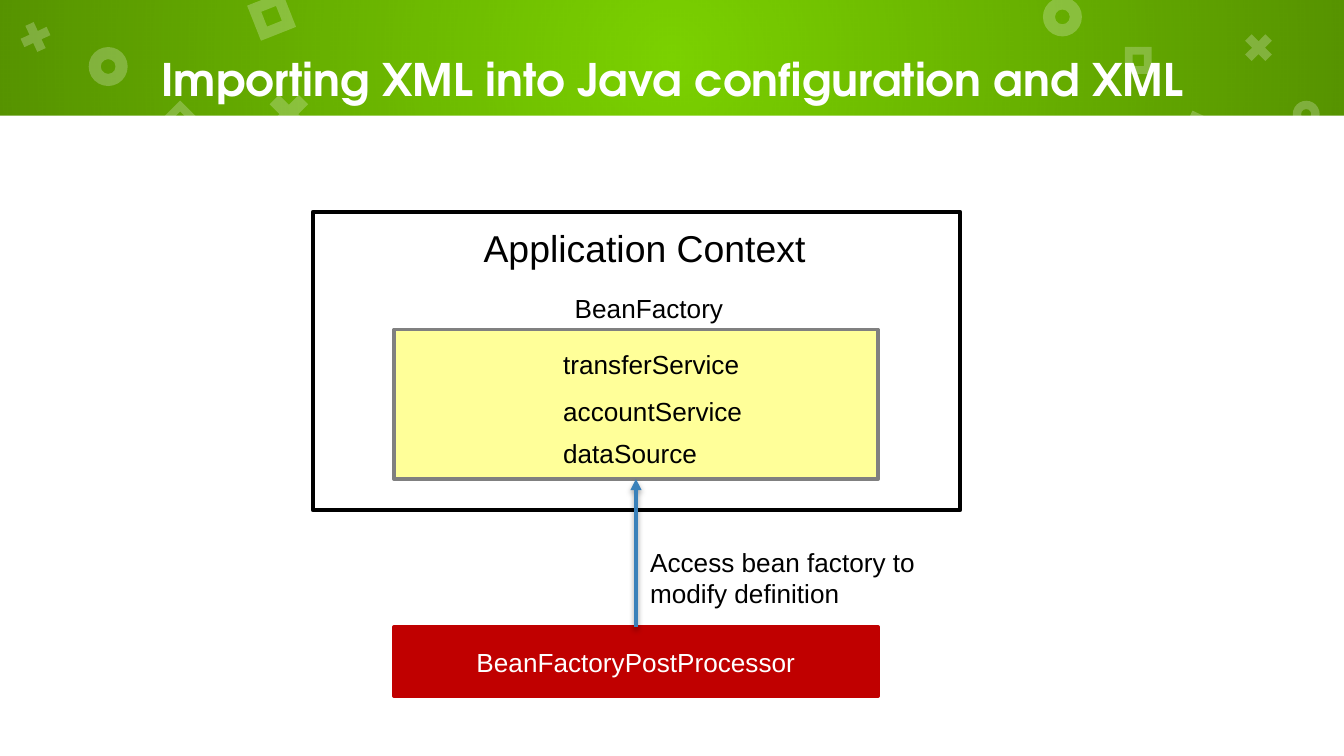
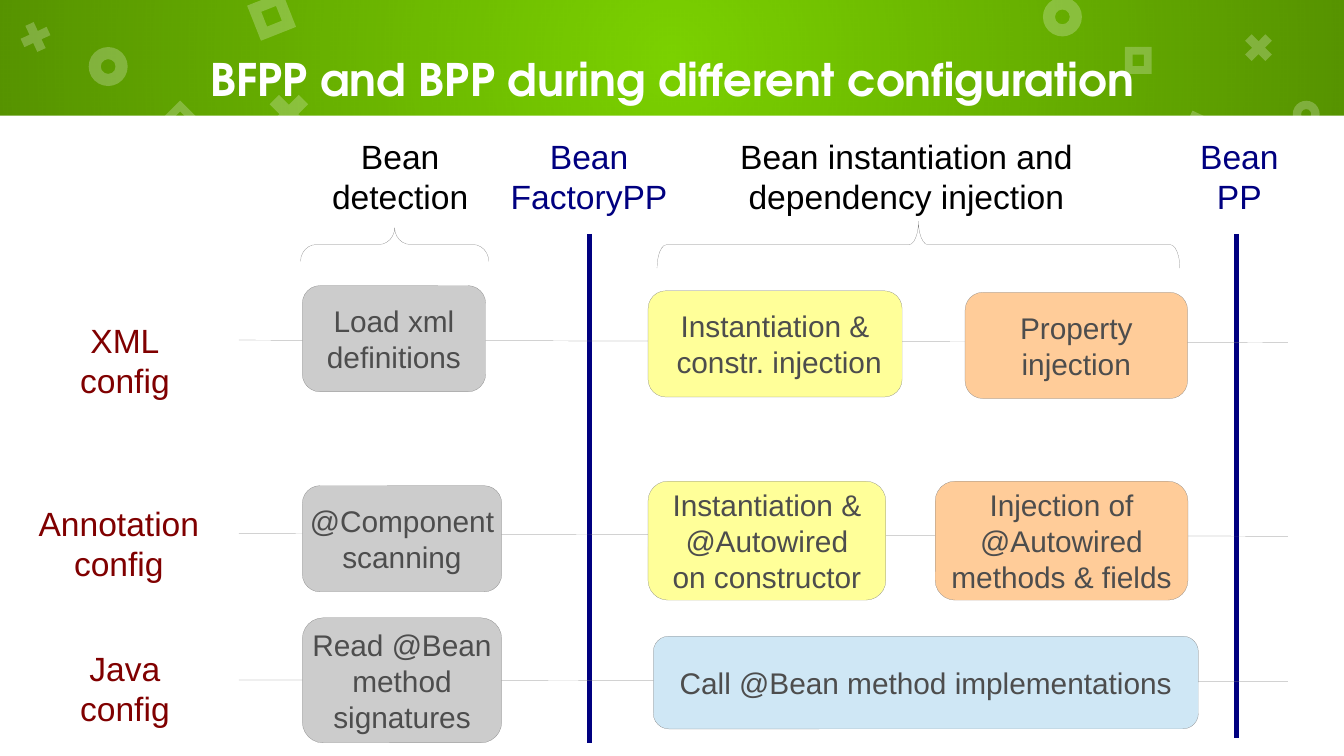
from dataclasses import dataclass
from typing import NamedTuple

import pptx
import pptx.dml.color
import pptx.enum.shapes
import pptx.enum.text
import pptx.oxml
import pptx.oxml.ns
import pptx.util

Pt = pptx.util.Pt
SHAPE = pptx.enum.shapes.MSO_SHAPE
ALIGN = pptx.enum.text.PP_ALIGN
ANCHOR = pptx.enum.text.MSO_ANCHOR
AUTO_SIZE = pptx.enum.text.MSO_AUTO_SIZE
NAMESPACE = pptx.oxml.ns.nsdecls("a")


@dataclass(frozen=True)
class Theme:
    green: str = "7BD100"
    white: str = "FFFFFF"
    black: str = "000000"
    gray: str = "808080"
    dark_gray: str = "4D4D4D"
    light_gray: str = "CCCCCC"
    yellow: str = "FFFF99"
    orange: str = "FFCC99"
    pale_blue: str = "CFE7F5"
    arrow_blue: str = "3A81BA"
    navy: str = "000080"
    maroon: str = "800000"
    red: str = "C00000"
    title_font: str = "TeX Gyre Adventor"
    body_font: str = "Arial"
    title_size: float = 24
    heading_size: float = 20
    label_size: float = 18
    step_size: float = 16
    body_size: float = 14
    hairline: float = 0.1
    outline: float = 2
    divider: float = 2.83


THEME = Theme()
SLIDE_WIDTH, SLIDE_HEIGHT = 720, 405
BAND_HEIGHT = 61.9


class Box(NamedTuple):
    left: float
    top: float
    width: float
    height: float

    def lengths(self) -> list:
        return [Pt(value) for value in self]


class Icon(NamedTuple):
    kind: SHAPE
    left: float
    top: float
    size: float
    rotation: float = 0


class Label(NamedTuple):
    text: str
    box: Box
    color: str = THEME.black
    size: float = THEME.body_size
    align: ALIGN = ALIGN.LEFT


class Step(NamedTuple):
    text: str
    box: Box
    fill: str


class Row(NamedTuple):
    label: Label
    line_start: float
    line_end: float
    steps: list


ICON_ADJUSTMENT = {SHAPE.DONUT: 0.31, SHAPE.MATH_MULTIPLY: 0.235, SHAPE.FRAME: 0.289}
ICONS = [
    Icon(SHAPE.DONUT, 47.5, 25.2, 20.9),
    Icon(SHAPE.MATH_MULTIPLY, 139.7, 46.1, 30.2),
    Icon(SHAPE.FRAME, 135.4, -1.4, 20.2, 338.4),
    Icon(SHAPE.DONUT, 558.7, -1.4, 20.9),
    Icon(SHAPE.FRAME, 633.6, 62.6, 20.2, 25),
    Icon(SHAPE.MATH_MULTIPLY, 8.6, 9.4, 20.9, 20.4),
    Icon(SHAPE.FRAME, 89.3, 56.9, 14.4, 45),
    Icon(SHAPE.DONUT, 692.6, 54, 14.4),
    Icon(SHAPE.MATH_MULTIPLY, 663.8, 15.1, 20.9),
    Icon(SHAPE.FRAME, 602.6, 25.2, 14.4),
]


# Drawing helpers

def rgb(color: str) -> pptx.dml.color.RGBColor:
    return pptx.dml.color.RGBColor.from_string(color)


def add_shape(slide, kind, box: Box, fill=None, line=None,
              line_width: float = THEME.hairline):
    shape = slide.shapes.add_shape(kind, *box.lengths())
    shape.shadow.inherit = False
    if fill:
        shape.fill.solid()
        shape.fill.fore_color.rgb = rgb(fill)
    else:
        shape.fill.background()
    if line:
        shape.line.color.rgb = rgb(line)
        shape.line.width = Pt(line_width)
    else:
        shape.line.fill.background()
    return shape


def write_text(shape, text: str, color: str, size: float, align: ALIGN = ALIGN.CENTER,
               anchor: ANCHOR = ANCHOR.MIDDLE, wrap: bool = True,
               font: str = THEME.body_font, bold: bool = False) -> None:
    frame = shape.text_frame
    frame.text = text
    frame.word_wrap = wrap
    frame.vertical_anchor = anchor
    for paragraph in frame.paragraphs:
        paragraph.alignment = align
        paragraph.font.name = font
        paragraph.font.size = Pt(size)
        paragraph.font.bold = bold
        paragraph.font.color.rgb = rgb(color)


def add_label(slide, label: Label) -> None:
    """Left-aligned labels wrap and grow; centred ones keep their own line breaks."""
    wraps = label.align == ALIGN.LEFT
    text_box = slide.shapes.add_textbox(*label.box.lengths())
    write_text(text_box, label.text, label.color, label.size, label.align,
               ANCHOR.TOP, wrap=wraps)
    text_box.text_frame.auto_size = (
        AUTO_SIZE.SHAPE_TO_FIT_TEXT if wraps else AUTO_SIZE.NONE)


def add_line(slide, start: tuple, end: tuple, color: str, width: float):
    connector = slide.shapes.add_connector(
        pptx.enum.shapes.MSO_CONNECTOR.STRAIGHT, *[Pt(value) for value in start + end])
    connector.line.color.rgb = rgb(color)
    connector.line.width = Pt(width)
    effects = pptx.oxml.parse_xml(f"<a:effectLst {NAMESPACE}/>")
    connector._element.spPr.append(effects)
    return connector


def add_arrow(slide, start: tuple, end: tuple) -> None:
    connector = add_line(slide, start, end, THEME.arrow_blue, THEME.outline)
    connector.line._get_or_add_ln().append(
        pptx.oxml.parse_xml(f'<a:tailEnd {NAMESPACE} type="triangle"/>'))
    effects = connector._element.spPr.find(pptx.oxml.ns.qn("a:effectLst"))
    effects.append(pptx.oxml.parse_xml(
        f'<a:outerShdw {NAMESPACE} blurRad="{Pt(3.1)}" dist="{Pt(1.6)}" dir="5400000" '
        f'rotWithShape="0"><a:srgbClr val="{THEME.black}"><a:alpha val="38000"/>'
        '</a:srgbClr></a:outerShdw>'))


def add_brace(slide, box: Box, curve: float) -> None:
    """Draw an upward brace; box is the area it covers after the quarter turn."""
    shift = (box.width - box.height) / 2
    upright = Box(box.left + shift, box.top - shift, box.height, box.width)
    brace = add_shape(slide, SHAPE.LEFT_BRACE, upright, line=THEME.gray)
    brace.adjustments[0] = curve
    brace.rotation = 90


# Shared slide frame

def add_band(slide) -> None:
    band = add_shape(slide, SHAPE.RECTANGLE, Box(0, 0, SLIDE_WIDTH, BAND_HEIGHT))
    properties = band._element.spPr
    stops = "".join(
        f'<a:gs pos="{position}"><a:srgbClr val="{THEME.black}">'
        f'<a:alpha val="{alpha}"/></a:srgbClr></a:gs>'
        for position, alpha in ((0, 0), (100000, 30000)))
    gradient = pptx.oxml.parse_xml(
        f'<a:gradFill {NAMESPACE} rotWithShape="1"><a:gsLst>{stops}</a:gsLst>'
        '<a:path path="circle"><a:fillToRect l="50000" t="50000" r="50000" b="50000"/>'
        '</a:path></a:gradFill>')
    properties.replace(properties.find(pptx.oxml.ns.qn("a:noFill")), gradient)


def add_icon(slide, icon: Icon) -> None:
    shape = add_shape(slide, icon.kind, Box(icon.left, icon.top, icon.size, icon.size),
                      THEME.white)
    shape.adjustments[0] = ICON_ADJUSTMENT[icon.kind]
    shape.rotation = icon.rotation
    color = shape._element.spPr.find(".//" + pptx.oxml.ns.qn("a:srgbClr"))
    color.append(pptx.oxml.parse_xml(f'<a:alpha {NAMESPACE} val="24000"/>'))


def add_titled_slide(presentation, title: str):
    slide = presentation.slides.add_slide(presentation.slide_layouts[6])
    slide.background.fill.solid()
    slide.background.fill.fore_color.rgb = rgb(THEME.green)
    add_band(slide)
    add_shape(slide, SHAPE.RECTANGLE,
              Box(0, BAND_HEIGHT, SLIDE_WIDTH, SLIDE_HEIGHT - BAND_HEIGHT), THEME.white)
    for icon in ICONS:
        add_icon(slide, icon)
    title_box = slide.shapes.add_textbox(*Box(68.4, 0, 583.2, 84).lengths())
    write_text(title_box, title, THEME.white, THEME.title_size,
               font=THEME.title_font, bold=True)
    return slide


# Slide 1: the post processor reaches into the bean factory

def build_context_slide(presentation) -> None:
    slide = add_titled_slide(presentation, "Importing XML into Java configuration and XML")
    factory = Box(211, 176.6, 259.4, 80)
    processor = Box(211, 336, 259.4, 36.9)
    add_shape(slide, SHAPE.RECTANGLE, Box(167.5, 113.5, 347, 159.8),
              THEME.white, THEME.black, THEME.outline)
    add_shape(slide, SHAPE.RECTANGLE, factory, THEME.yellow, THEME.gray, THEME.outline)
    for label in (
        Label("Application Context", Box(252, 117, 204.5, 31.7), size=THEME.heading_size),
        Label("BeanFactory", Box(300.8, 153, 138.2, 24.5)),
        Label("transferService", Box(294.6, 182.9, 138.2, 24.5)),
        Label("accountService", Box(294.6, 208.1, 138.2, 24.5)),
        Label("dataSource", Box(294.6, 230.8, 138.2, 24.5)),
        Label("Access bean factory to modify definition", Box(341.2, 289, 172.8, 41)),
    ):
        add_label(slide, label)
    processor_shape = add_shape(slide, SHAPE.RECTANGLE, processor,
                                THEME.red, THEME.red, THEME.outline)
    write_text(processor_shape, "BeanFactoryPostProcessor", THEME.white, THEME.body_size)
    center = processor.left + processor.width / 2
    add_arrow(slide, (center, processor.top), (center, factory.top + factory.height))


# Slide 2: phases across, configuration styles down

def phase_label(text: str, left: float, width: float, color: str) -> Label:
    return Label(text, Box(left, 69.1, width, 50.4), color, THEME.label_size, ALIGN.CENTER)


def row_label(text: str, left: float, top: float, width: float) -> Label:
    return Label(text, Box(left, top, width, 50.4), THEME.maroon, THEME.label_size,
                 ALIGN.CENTER)


PHASES = [
    phase_label("Bean\ndetection", 165.8, 97.2, THEME.black),
    phase_label("Bean\vFactoryPP", 260.2, 110.9, THEME.navy),
    phase_label("Bean instantiation and\vdependency injection", 389.5, 192.2, THEME.black),
    phase_label("Bean\nPP", 617.5, 92.9, THEME.navy),
]
ROWS = [
    Row(row_label("XML\nconfig", 36, 167.8, 61.9), 182.2, 183.6, [
        Step("Load xml\ndefinitions", Box(162, 153, 98.2, 56.9), THEME.light_gray),
        Step("Instantiation &\n constr. injection", Box(347.2, 155.8, 136.1, 56.9),
             THEME.yellow),
        Step("Property\ninjection", Box(517, 156.6, 119.2, 56.9), THEME.orange),
    ]),
    Row(row_label("Annotation\nconfig", 13.7, 265.7, 100), 285.8, 287.3, [
        Step("@Component\nscanning", Box(162, 260.2, 106.8, 56.9), THEME.light_gray),
        Step("Instantiation &\n@Autowired\non constructor", Box(347.2, 257.8, 127.4, 63.7),
             THEME.yellow),
        Step("Injection of\n@Autowired\nmethods & fields", Box(501, 257.8, 135.4, 63.7),
             THEME.orange),
    ]),
    Row(row_label("Java\nconfig", 36, 343.4, 61.9), 364.3, 365, [
        Step("Read @Bean\nmethod\nsignatures", Box(162, 331, 106.8, 67), THEME.light_gray),
        Step("Call @Bean method implementations", Box(350, 340.8, 292, 49.7),
             THEME.pale_blue),
    ]),
]


def build_phases_slide(presentation) -> None:
    slide = add_titled_slide(presentation, "BFPP and BPP during different configuration")
    for phase in PHASES:
        add_label(slide, phase)
    add_brace(slide, Box(161, 122, 100.8, 18), curve=0.47)
    add_brace(slide, Box(352, 118.5, 280, 25.2), curve=0.2)
    for x, bottom in ((316, 398.2), (662.6, 395.3)):
        add_line(slide, (x, 125.3), (x, bottom), THEME.navy, THEME.divider)
    for row in ROWS:
        add_label(slide, row.label)
        add_line(slide, (128, row.line_start), (690, row.line_end),
                 THEME.gray, THEME.hairline)
        for step in row.steps:
            shape = add_shape(slide, SHAPE.ROUNDED_RECTANGLE, step.box, step.fill,
                              THEME.gray)
            write_text(shape, step.text, THEME.dark_gray, THEME.step_size, wrap=False)


def main() -> None:
    presentation = pptx.Presentation()
    presentation.slide_width = Pt(SLIDE_WIDTH)
    presentation.slide_height = Pt(SLIDE_HEIGHT)
    build_context_slide(presentation)
    build_phases_slide(presentation)
    presentation.save("out.pptx")


if __name__ == "__main__":
    main()
